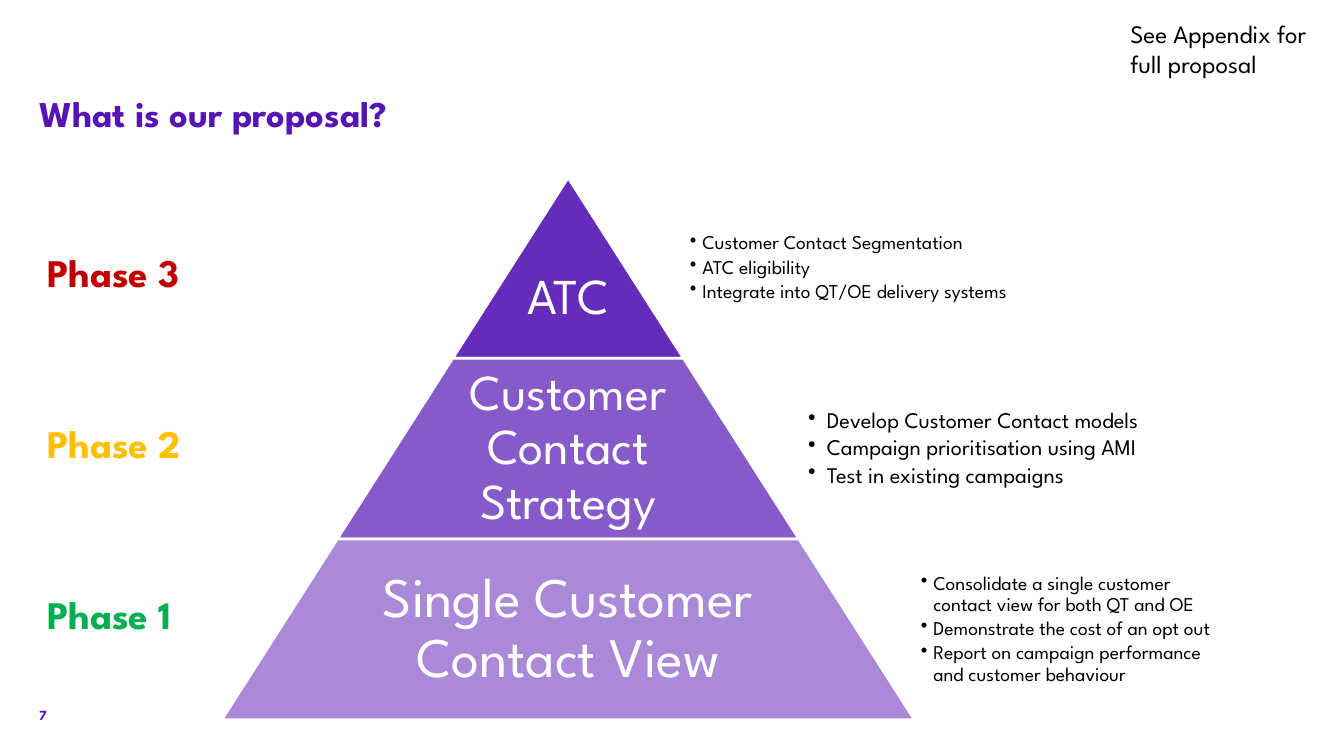
from lxml import etree
from pptx import Presentation
from pptx import util as u
from pptx.dml.color import RGBColor
from pptx.enum import shapes, text
from pptx.oxml.ns import qn

FONT = "League Spartan"
COLORS = {"purple": "5514B3", "white": "FFFFFF", "black": "000000",
          "red": "C00000", "amber": "FFC000", "green": "00B050"}

# Content: tiers from the top of the pyramid down
TIERS = [
    {"phase": "Phase 3", "color": "red", "opacity": 90,
     "label": "ATC", "label_size": 36, "label_width": 166, "label_drop": 43,
     "bullets": ["Customer Contact Segmentation", "ATC eligibility",
                 "Integrate into QT/OE delivery systems"],
     "size": 14, "indent": 9, "inset": 4.5},
    {"phase": "Phase 2", "color": "amber", "opacity": 70,
     "label": "Customer Contact Strategy", "label_size": 36,
     "label_width": 215.5, "label_drop": 0,
     "bullets": ["Develop Customer Contact models",
                 "Campaign prioritisation using AMI",
                 "Test in existing campaigns"],
     "size": 16, "indent": 13.5, "inset": 6.5},
    {"phase": "Phase 1", "color": "green", "opacity": 50,
     "label": "Single Customer Contact View", "label_size": 40,
     "label_width": 323.5, "label_drop": 0,
     "bullets": ["Consolidate a single customer contact view for both QT and OE",
                 "Demonstrate the cost of an opt out",
                 "Report on campaign performance and customer behaviour"],
     "size": 14, "indent": 9, "inset": 4.5},
]
# Single texts: wording, box, anchor, size, colour, bold
TEXTS = [
    ("7", (28, 497.5, 28, 21), "BOTTOM", 10, "purple", True),
    ("What is our proposal?", (28, 65.5, 884, 62.5), "TOP", 26, "purple", True),
    ("See Appendix for full proposal", (810.7, 12.2, 147.6, 44), "BOTTOM",
     18, "black", False),
]

# Pyramid geometry
CENTER, TOP, TIER_H = 407.5, 127.4, 129.6
SLOPE = 0.639
STEP = SLOPE * TIER_H
RIGHT = 890
PHASE_LEFT, PHASE_TOP, PHASE_PITCH = 33.8, 167.8, 122.8


def rgb(name):
    return RGBColor.from_string(COLORS[name])


def add_text(s, lines, box, anchor, size, color, bold=False, inset=0,
             align="LEFT", spacing=None, after=0, indent=0):
    tf = s.shapes.add_textbox(*map(u.Pt, box)).text_frame
    frame = {"word_wrap": True,
             "vertical_anchor": getattr(text.MSO_ANCHOR, anchor)}
    frame.update({f"margin_{side}": u.Pt(inset)
                  for side in ("left", "top", "right", "bottom")})
    for key, value in frame.items():
        setattr(tf, key, value)
    for i, line in enumerate(lines):
        p = tf.add_paragraph() if i else tf.paragraphs[0]
        p.alignment = getattr(text.PP_ALIGN, align)
        p.space_after = u.Pt(after)
        if spacing:
            p.line_spacing = spacing
        r = p.add_run()
        r.text = line
        for key, value in {"name": FONT, "size": u.Pt(size), "bold": bold}.items():
            setattr(r.font, key, value)
        r.font.color.rgb = rgb(color)
        if indent:
            pPr = p._p.get_or_add_pPr()
            pPr.set("marL", str(u.Pt(indent)))
            pPr.set("indent", str(-u.Pt(indent)))
            etree.SubElement(pPr, qn("a:buChar")).set("char", "•")


def add_tier(s, i, tier):
    y = TOP + i * TIER_H
    half = (i + 1) * STEP

    # Pyramid band
    sp = s.shapes.add_shape(shapes.MSO_SHAPE.TRAPEZOID, u.Pt(CENTER - half),
                            u.Pt(y), u.Pt(2 * half), u.Pt(TIER_H))
    sp.adjustments[0] = SLOPE
    sp.shadow.inherit = False
    sp.fill.solid()
    sp.fill.fore_color.rgb = rgb("purple")
    fill = sp._element.spPr.find(qn("a:solidFill"))
    etree.SubElement(fill[0], qn("a:alpha")).set("val", str(tier["opacity"] * 1000))
    sp.line.color.rgb = rgb("white")
    sp.line.width = u.Pt(2)

    # Band label
    width, drop = tier["label_width"], tier["label_drop"]
    add_text(s, [tier["label"]],
             (CENTER - width / 2, y + drop, width, TIER_H - drop), "MIDDLE",
             tier["label_size"], "white", inset=4, align="CENTER", spacing=0.9)

    # Bullets to the right of the band
    left = CENTER + half
    add_text(s, tier["bullets"], (left, y, RIGHT - left, TIER_H), "MIDDLE",
             tier["size"], "black", inset=tier["inset"], spacing=0.9,
             after=2.3, indent=tier["indent"])

    # Phase name
    add_text(s, [tier["phase"]],
             (PHASE_LEFT, PHASE_TOP + i * PHASE_PITCH, 147.6, 44), "BOTTOM",
             28, tier["color"], bold=True)


def main():
    prs = Presentation()
    prs.slide_width, prs.slide_height = u.Pt(964), u.Pt(538.6)
    s = prs.slides.add_slide(prs.slide_layouts[6])
    for wording, box, anchor, size, color, bold in TEXTS:
        add_text(s, [wording], box, anchor, size, color, bold)
    for i, tier in enumerate(TIERS):
        add_tier(s, i, tier)
    prs.save("out.pptx")


if __name__ == "__main__":
    main()
